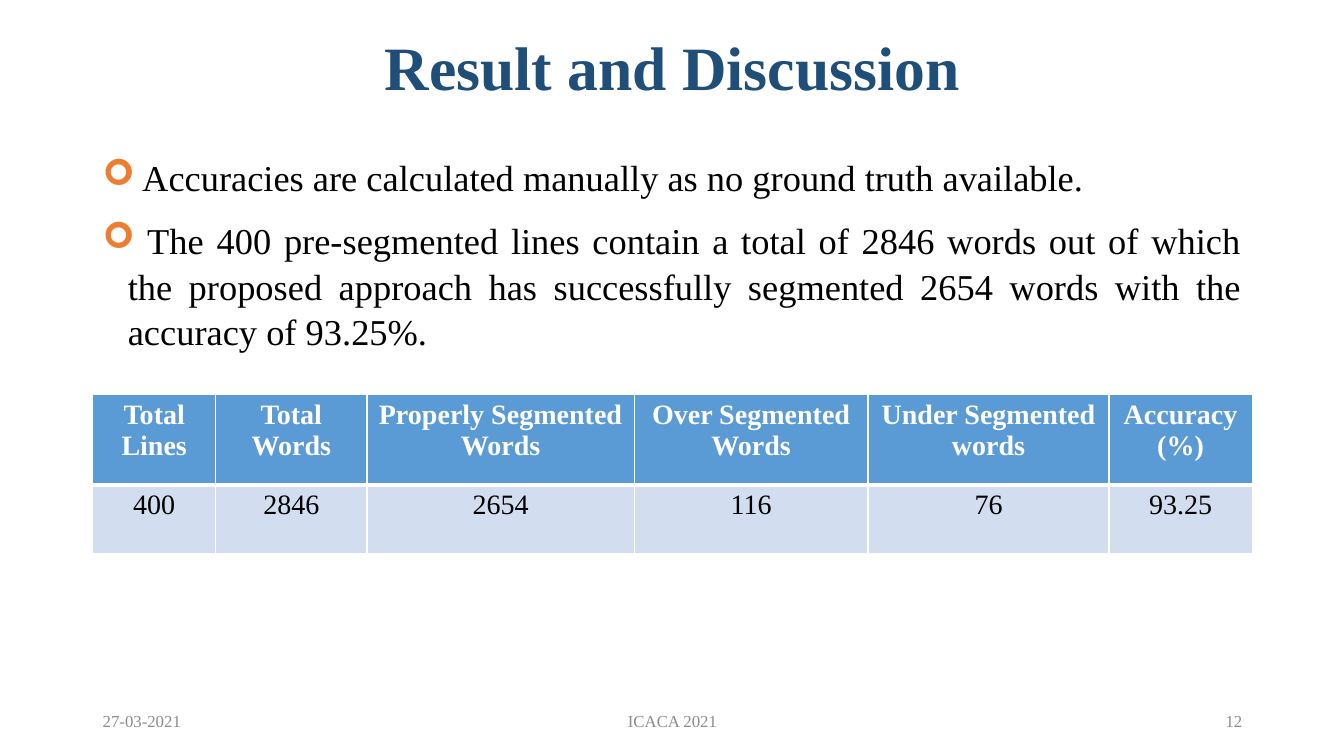
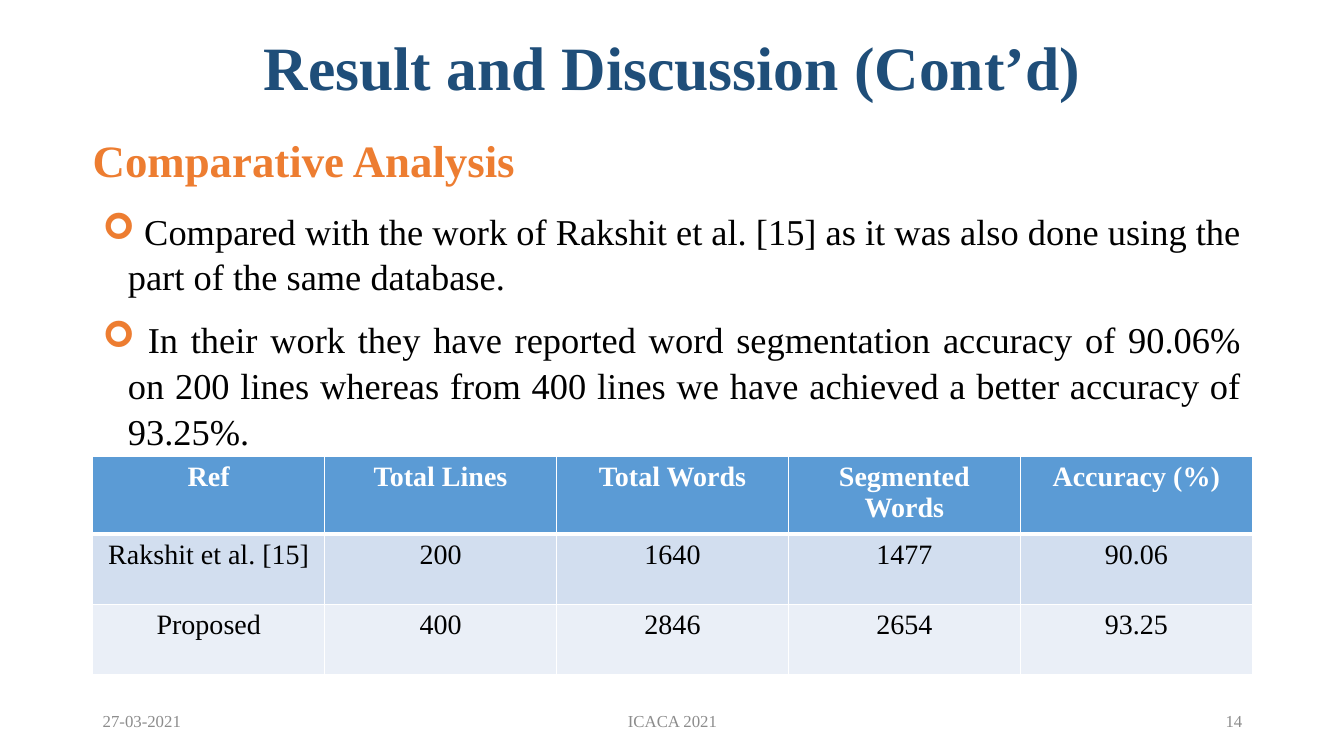
"""Build two result slides, each with bullets, a table and a footer."""
from lxml import etree
from pptx import Presentation, util as u
from pptx.dml.color import RGBColor
from pptx.enum import text
from pptx.oxml.ns import qn

FONT = "Times New Roman"
COLORS = {
    "title": "1F4E79", "accent": "ED7D31", "body": "000000", "footer": "8C8C8C",
    "header": "5B9BD5", "odd": "D2DEEF", "even": "EAEFF7", "white": "FFFFFF",
}
WIDTH, HEIGHT = 13.33, 7.5
LEFT, CONTENT_WIDTH = 0.92, 11.5
ALIGN = text.PP_ALIGN
MIDDLE = text.MSO_ANCHOR.MIDDLE

FOOTER = {"date": "27-03-2021", "event": "ICACA 2021"}
SLIDES = [
    {
        "title": "Result and Discussion",
        "number": "12",
        "bullets": [
            " Accuracies are calculated manually as no ground truth available.",
            " The 400 pre-segmented lines contain a total of 2846 words out of which the "
            "proposed approach has successfully segmented 2654 words with the accuracy of 93.25%.",
        ],
        "bullets_box": (1.47, 2.2),
        "table_top": 3.91,
        "columns": [1.22, 1.5, 2.65, 2.32, 2.39, 1.42],
        "row_heights": [0.9, 0.68],
        "rows": [
            ["Total Lines", "Total Words", "Properly Segmented Words",
             "Over Segmented Words", "Under Segmented words", "Accuracy\n(%)"],
            ["400", "2846", "2654", "116", "76", "93.25"],
        ],
    },
    {
        "title": "Result and Discussion (Cont’d)",
        "subtitle": "Comparative Analysis",
        "number": "14",
        "bullets": [
            " Compared with the work of Rakshit et al. [15] as it was also done using the "
            "part of the same database.",
            " In their work they have reported word segmentation accuracy of 90.06% on 200 "
            "lines whereas from 400 lines we have achieved a better accuracy of 93.25%.",
        ],
        "bullets_box": (2, 2.5),
        "table_top": 4.53,
        "columns": [CONTENT_WIDTH / 5] * 5,
        "row_heights": [0.7] * 3,
        "rows": [
            ["Ref", "Total Lines", "Total Words", "Segmented Words", "Accuracy (%)"],
            ["Rakshit et al. [15]", "200", "1640", "1477", "90.06"],
            ["Proposed", "400", "2846", "2654", "93.25"],
        ],
    },
]


def rgb(name):
    return RGBColor.from_string(COLORS[name])


def style(paragraph, size, color, align=ALIGN.LEFT, bold=False):
    paragraph.alignment = align
    font = paragraph.font
    font.name, font.size, font.bold = FONT, u.Pt(size), bold
    font.color.rgb = rgb(color)


def add_text(slide, box, lines, anchor=text.MSO_ANCHOR.TOP):
    frame = slide.shapes.add_textbox(*map(u.Inches, box)).text_frame
    frame.word_wrap = True
    frame.vertical_anchor = anchor
    frame.text = "\n".join(lines)
    return frame


def add_bullet(paragraph):
    properties = paragraph._p.get_or_add_pPr()
    properties.set("marL", str(u.Inches(0.25)))
    properties.set("indent", str(u.Inches(-0.25)))
    color = etree.SubElement(properties, qn("a:buClr"))
    etree.SubElement(color, qn("a:srgbClr"), val=COLORS["accent"])
    etree.SubElement(properties, qn("a:buFont"), typeface="Wingdings")
    etree.SubElement(properties, qn("a:buChar"), char="➢")


def add_title(slide, title):
    shape = slide.shapes.title
    shape.left, shape.top = u.Inches(LEFT), 0
    shape.width, shape.height = u.Inches(CONTENT_WIDTH), u.Inches(1.4)
    frame = shape.text_frame
    frame.text = title
    frame.auto_size = text.MSO_AUTO_SIZE.NONE
    frame.vertical_anchor = MIDDLE
    frame.paragraphs[0].line_spacing = 0.9
    style(frame.paragraphs[0], 44, "title", ALIGN.CENTER, True)


def add_subtitle(slide, subtitle):
    frame = add_text(slide, (LEFT, 1.09, CONTENT_WIDTH, 1.06), [subtitle], MIDDLE)
    frame.margin_left = 0
    frame.paragraphs[0].line_spacing = 0.9
    style(frame.paragraphs[0], 32, "accent", bold=True)


def add_bullets(slide, bullets, top, height):
    frame = add_text(slide, (LEFT, top, CONTENT_WIDTH, height), bullets)
    for paragraph in frame.paragraphs:
        paragraph.space_before = u.Pt(12)
        paragraph.line_spacing = 1.05
        add_bullet(paragraph)
        style(paragraph, 26, "body", ALIGN.JUSTIFY)


def add_footer(slide, number):
    right = LEFT + CONTENT_WIDTH
    parts = [
        (FOOTER["date"], LEFT, 3, ALIGN.LEFT),
        (FOOTER["event"], LEFT + (CONTENT_WIDTH - 4.5) / 2, 4.5, ALIGN.CENTER),
        (number, right - 3, 3, ALIGN.RIGHT),
    ]
    for words, left, width, align in parts:
        frame = add_text(slide, (left, 6.95, width, 0.4), [words], MIDDLE)
        style(frame.paragraphs[0], 12, "footer", align)


def add_borders(cell, widths):
    properties = cell._tc.get_or_add_tcPr()
    for side, width in widths.items():
        line = etree.SubElement(properties, qn(f"a:ln{side}"), w=str(u.Pt(width)))
        fill = etree.SubElement(line, qn("a:solidFill"))
        etree.SubElement(fill, qn("a:srgbClr"), val=COLORS["white"])


def add_table(slide, rows, top, columns, row_heights):
    box = (LEFT, top, sum(columns), sum(row_heights))
    table = slide.shapes.add_table(len(rows), len(columns), *map(u.Inches, box)).table
    for column, width in zip(table.columns, columns):
        column.width = u.Inches(width)
    for index, (row, height) in enumerate(zip(table.rows, row_heights)):
        row.height = u.Inches(height)
        header = index == 0
        fill = "header" if header else "odd" if index % 2 else "even"
        borders = {"L": 1, "R": 1, "T": 3 if index == 1 else 1, "B": 3 if header else 1}
        for cell, words in zip(row.cells, rows[index]):
            cell.text = words
            add_borders(cell, borders)
            cell.fill.solid()
            cell.fill.fore_color.rgb = rgb(fill)
            for paragraph in cell.text_frame.paragraphs:
                style(paragraph, 20, "white" if header else "body", ALIGN.CENTER, header)


def main():
    presentation = Presentation()
    presentation.slide_width, presentation.slide_height = u.Inches(WIDTH), u.Inches(HEIGHT)
    for content in SLIDES:
        slide = presentation.slides.add_slide(presentation.slide_layouts[5])
        add_title(slide, content["title"])
        if "subtitle" in content:
            add_subtitle(slide, content["subtitle"])
        add_bullets(slide, content["bullets"], *content["bullets_box"])
        add_table(slide, content["rows"], content["table_top"],
                  content["columns"], content["row_heights"])
        add_footer(slide, content["number"])
    presentation.save("out.pptx")


if __name__ == "__main__":
    main()
